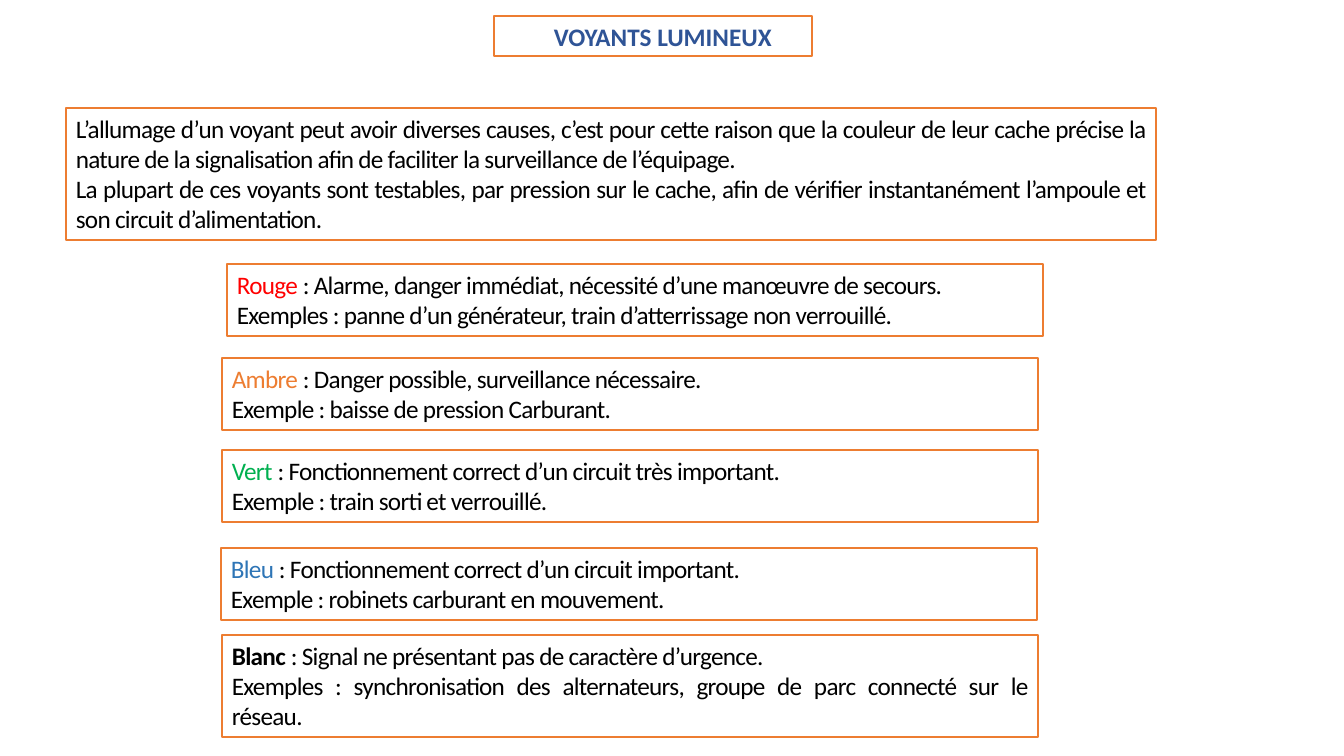
from pptx import Presentation
from pptx.dml.color import RGBColor
from pptx.enum.shapes import MSO_SHAPE
from pptx.enum.text import MSO_ANCHOR, MSO_AUTO_SIZE, PP_ALIGN
from pptx.util import Pt

EMU_PER_PX = 914400 / 100.8

COLORS = {
    "white": "FFFFFF",
    "black": "000000",
    "border": "ED7D31",
    "title": "2F5496",
    "red": "FF0000",
    "amber": "ED7D31",
    "green": "00B050",
    "blue": "2E75B6",
}

INTRO = [
    "L’allumage d’un voyant peut avoir diverses causes, c’est pour cette raison que la couleur "
    "de leur cache précise la nature de la signalisation afin de faciliter la surveillance de l’équipage.",
    "La plupart de ces voyants sont testables, par pression sur le cache, afin de vérifier "
    "instantanément l’ampoule et son circuit d’alimentation.",
]

LIGHTS = [
    (227, 264, 72, "Rouge", "red",
     "Alarme, danger immédiat, nécessité d’une manœuvre de secours.",
     "Exemples : panne d’un générateur, train d’atterrissage non verrouillé."),
    (222, 358, 72, "Ambre", "amber",
     "Danger possible, surveillance nécessaire.",
     "Exemple : baisse de pression Carburant."),
    (222, 450, 72, "Vert", "green",
     "Fonctionnement correct d’un circuit très important.",
     "Exemple : train sorti et verrouillé."),
    (221, 548, 72, "Bleu", "blue",
     "Fonctionnement correct d’un circuit important.",
     "Exemple : robinets carburant en mouvement."),
    (222, 635, 102, "Blanc", "black",
     "Signal ne présentant pas de caractère d’urgence.",
     "Exemples : synchronisation des alternateurs, groupe de parc connecté sur le réseau."),
]


def px(n):
    return round(n * EMU_PER_PX)


def rgb(name):
    return RGBColor.from_string(COLORS[name])


def add_box(s, x, y, w, h):
    sp = s.shapes.add_shape(MSO_SHAPE.RECTANGLE, px(x), px(y), px(w), px(h))
    sp.shadow.inherit = False
    sp.fill.solid()
    sp.fill.fore_color.rgb = rgb("white")
    sp.line.color.rgb = rgb("border")
    sp.line.width = Pt(1)
    tf = sp.text_frame
    tf.word_wrap = True
    tf.auto_size = MSO_AUTO_SIZE.SHAPE_TO_FIT_TEXT
    tf.vertical_anchor = MSO_ANCHOR.TOP
    return tf


def add_run(p, text, color="black", bold=False, spacing=-50):
    r = p.add_run()
    r.text = text
    r.font.name = "Calibri"
    r.font.size = Pt(18)
    r.font.bold = bold
    r.font.color.rgb = rgb(color)
    r._r.get_or_add_rPr().set("spc", str(spacing))


def add_title(s, text):
    p = add_box(s, 494, 16, 318, 40).paragraphs[0]
    p.alignment = PP_ALIGN.LEFT
    p.level = 1
    pPr = p._p.get_or_add_pPr()
    pPr.set("marL", str(px(50)))
    pPr.set("indent", "0")
    add_run(p, text, color="title", bold=True, spacing=0)


def add_justified(s, x, y, w, h, paragraphs):
    tf = add_box(s, x, y, w, h)
    for i, runs in enumerate(paragraphs):
        p = tf.add_paragraph() if i else tf.paragraphs[0]
        p.alignment = PP_ALIGN.JUSTIFY
        for text, fmt in runs:
            add_run(p, text, **fmt)


def add_light(s, x, y, h, name, color, meaning, example):
    label = (name, {"color": color, "bold": color == "black"})
    add_justified(s, x, y, 816, h, [[label, (f" : {meaning}", {})], [(example, {})]])


def main():
    prs = Presentation()
    prs.slide_width, prs.slide_height = px(1344), px(756)
    s = prs.slides.add_slide(prs.slide_layouts[6])
    add_title(s, "VOYANTS LUMINEUX")
    for light in LIGHTS:
        add_light(s, *light)
    add_justified(s, 66, 108, 1090, 132, [[(text, {})] for text in INTRO])
    prs.save("out.pptx")


if __name__ == "__main__":
    main()
